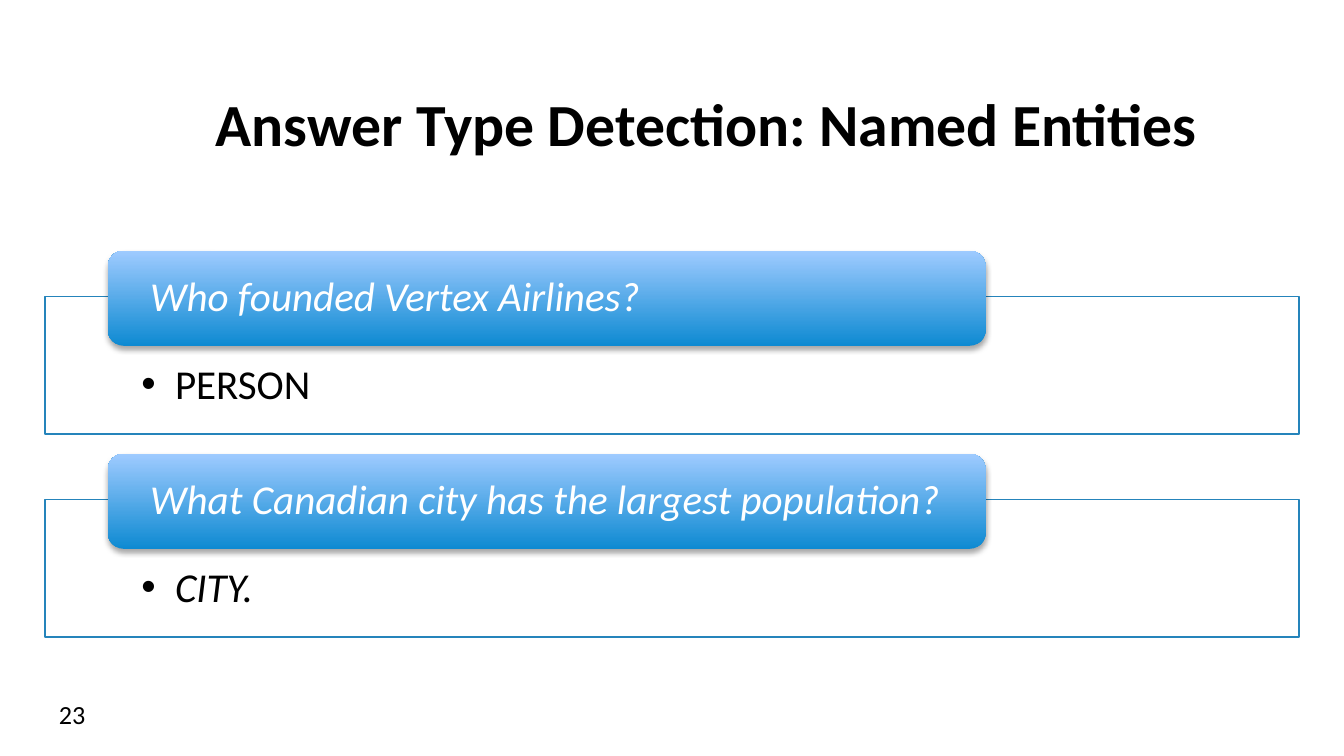
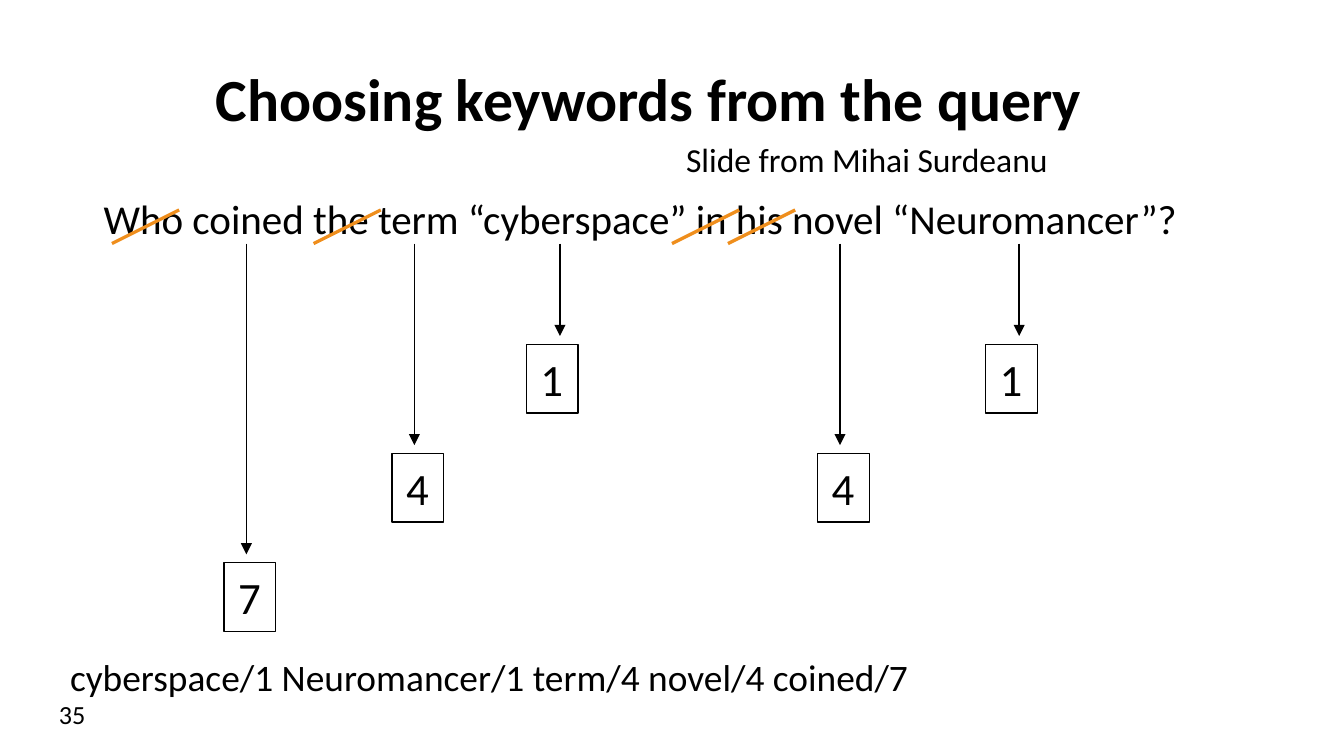
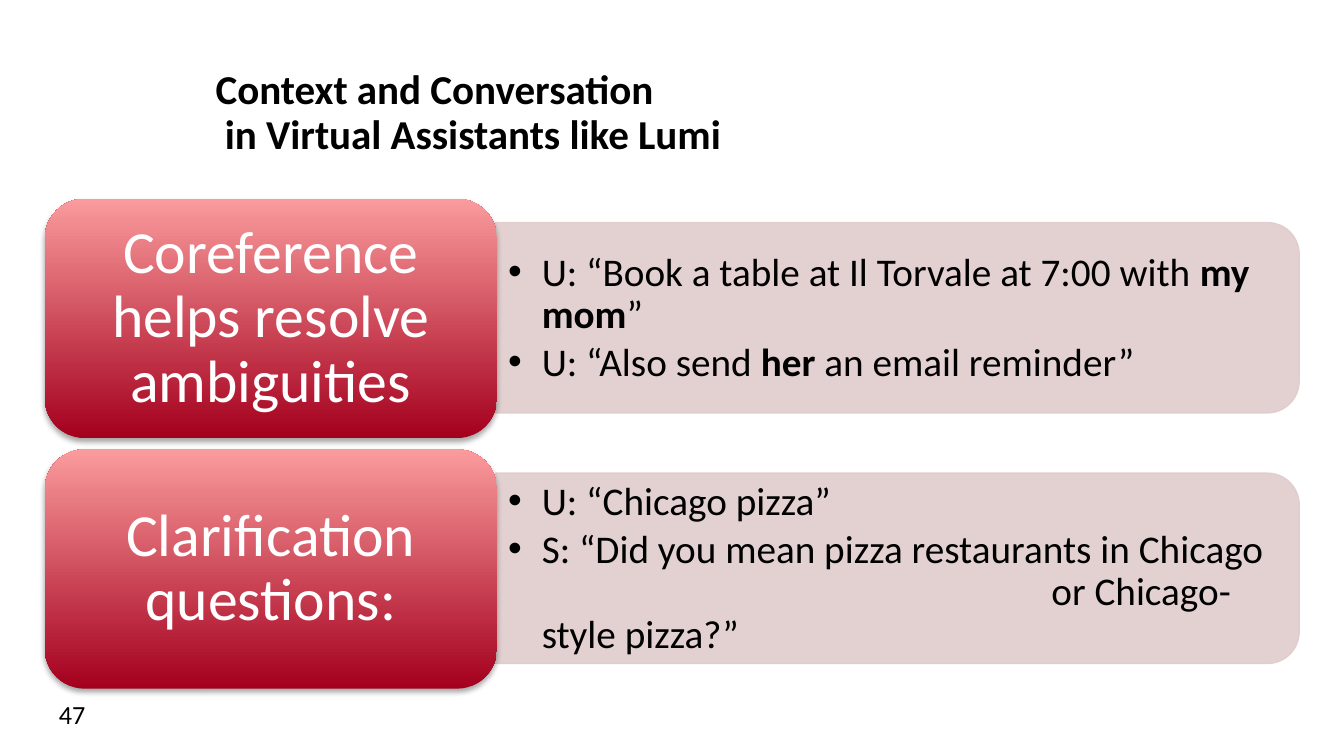
from lxml import etree
from pptx import Presentation
from pptx import util as u
from pptx.dml.color import RGBColor
from pptx.enum import shapes, text
from pptx.oxml.ns import qn

PX = 9525  # EMU per px, 96 px to the inch
FONT = "Calibri"
COLOURS = {
    "ink": "000000", "paper": "FFFFFF", "outline": "2584BB", "strike": "EF8E1C",
    "blue": "0E8AD2", "sky": "9FCBFF", "red": "A4001D", "rose": "FA9B9D", "band": "E0CCCD",
}
RGB = {name: RGBColor.from_string(value) for name, value in COLOURS.items()}
LEFT, CENTER = text.PP_ALIGN.LEFT, text.PP_ALIGN.CENTER
TOP, MIDDLE, BOTTOM = text.MSO_ANCHOR.TOP, text.MSO_ANCHOR.MIDDLE, text.MSO_ANCHOR.BOTTOM
TWO_LISTS, TITLE_ONLY = 3, 5


def write(frame, paragraphs, size, colour="ink", bold=False, italic=False, align=LEFT,
          anchor=TOP, spacing=1.0, insets=(10, 5, 10, 5), wrap=True, bullets=False):
    """Fill a text frame; words between asterisks are bold."""
    frame.auto_size = text.MSO_AUTO_SIZE.NONE
    frame.word_wrap = wrap
    frame.vertical_anchor = anchor
    frame.margin_left, frame.margin_top, frame.margin_right, frame.margin_bottom = (
        side * PX for side in insets)
    for number, words in enumerate(paragraphs):
        paragraph = frame.add_paragraph() if number else frame.paragraphs[0]
        plain, *others = words.split("*")
        paragraph.text = plain
        for index, part in enumerate(others):
            run = paragraph.add_run()
            run.text = part
            if index % 2 == 0:
                run.font.bold = True
        paragraph.alignment = align
        paragraph.line_spacing = spacing
        paragraph.space_before = u.Pt(0)
        if bullets:
            paragraph.space_after = u.Pt(3)
            props = paragraph._p.get_or_add_pPr()
            props.set("marL", str(24 * PX))
            props.set("indent", str(-24 * PX))
            etree.SubElement(props, qn("a:buChar"), char="•")
            if "\t" in words:
                tabs = etree.SubElement(props, qn("a:tabLst"))
                etree.SubElement(tabs, qn("a:tab"), pos=str(388 * PX), algn="l")
        font = paragraph.font
        font.name, font.size, font.bold, font.italic = FONT, u.Pt(size), bold, italic
        font.color.rgb = RGB[colour]


def add_card(slide, box, low, high):
    """Rounded card with a vertical gradient and a soft shadow."""
    card = slide.shapes.add_shape(shapes.MSO_SHAPE.ROUNDED_RECTANGLE, *(n * PX for n in box))
    card.fill.gradient()
    card.fill.gradient_angle = 90
    for stop, colour in zip(card.fill.gradient_stops, (low, high)):
        stop.color.rgb = RGB[colour]
    card.line.fill.background()
    card.shadow.inherit = False
    effects = card._element.spPr.find(qn("a:effectLst"))
    shadow = etree.SubElement(effects, qn("a:outerShdw"), blurRad="39370", dist="22860",
                              dir="5400000", rotWithShape="0")
    black = etree.SubElement(shadow, qn("a:srgbClr"), val=COLOURS["ink"])
    etree.SubElement(black, qn("a:alpha"), val="35000")
    return card


prs = Presentation()
prs.slide_width, prs.slide_height = 960 * PX, 540 * PX

# Titles and slide numbers
slides = []
for layout, heading, size, top, spacing, page in (
    (TWO_LISTS, "Answer Type Detection: Named Entities", 32, 40, 1.0, "23"),
    (TITLE_ONLY, "Choosing keywords from the query", 32, 22, 1.0, "35"),
    (TWO_LISTS, "Context and Conversation\n in Virtual Assistants like Lumi", 22, 40, 0.9, "47"),
):
    slide = prs.slides.add_slide(prs.slide_layouts[layout])
    title = slide.shapes.title
    title.left, title.top, title.width, title.height = 144 * PX, top * PX, 784 * PX, 78 * PX
    write(title.text_frame, [heading], size, bold=True, anchor=BOTTOM, spacing=spacing)
    number = slide.shapes.add_textbox(32 * PX, 494 * PX, 208 * PX, 36 * PX)
    write(number.text_frame, [page], 14)
    slides.append(slide)
entities, keywords, conversation = slides

# Slide 1: questions and their answer types
for row, (question, answer, italic) in enumerate((
    ("Who founded Vertex Airlines?", "PERSON", False),
    ("What Canadian city has the largest population?", "CITY.", True),
)):
    shift = row * 145
    answer_box = entities.placeholders[row + 1]
    answer_box.left, answer_box.top = 32 * PX, (212 + shift) * PX
    answer_box.width, answer_box.height = 896 * PX, 98 * PX
    answer_box.fill.solid()
    answer_box.fill.fore_color.rgb = RGB["paper"]
    answer_box.line.color.rgb = RGB["outline"]
    answer_box.line.width = u.Pt(0.75)
    write(answer_box.text_frame, [answer], 22, italic=italic, spacing=0.9,
          insets=(69, 48, 69, 16), bullets=True)
    question_card = add_card(entities, (77, 179 + shift, 627, 68), "blue", "sky")
    write(question_card.text_frame, [question], 22, "paper", italic=True, anchor=MIDDLE,
          spacing=0.9, insets=(27, 3, 27, 3))

# Slide 2: query, ranking and credit
for box, words, size, wrap in (
    ((64, 133, 792, 45), "Who coined the term “cyberspace” in his novel “Neuromancer”?", 22, True),
    ((40, 462, 660, 42), "cyberspace/1 Neuromancer/1 term/4 novel/4 coined/7", 20, False),
    ((480, 94, 281, 38), "Slide from Mihai Surdeanu", 18, False),
):
    label = keywords.shapes.add_textbox(*(n * PX for n in box))
    write(label.text_frame, [words], size, wrap=wrap)

# Strokes through dropped words, arrows from kept words: x1, y1, x2, y2, colour, width
word_base = 174
lines = [(x, word_base, x + 48, 150, "strike", 1.75) for x in (80, 224, 480, 520)]
for rank, level, word_x, rank_x in (
    ("1", 0, 400, 376), ("1", 0, 728, 704), ("4", 1, 296, 280), ("4", 1, 600, 584),
    ("7", 2, 176, 160),
):
    rank_top = 246 + level * 78
    lines.append((word_x, word_base, word_x, rank_top - 6, "ink", 0.75))
    rank_box = keywords.shapes.add_shape(
        shapes.MSO_SHAPE.RECTANGLE, rank_x * PX, rank_top * PX, 37 * PX, 49 * PX)
    rank_box.fill.background()
    rank_box.line.color.rgb = RGB["ink"]
    rank_box.line.width = u.Pt(0.75)
    rank_box.shadow.inherit = False
    write(rank_box.text_frame, [rank], 24, wrap=False)

for x1, y1, x2, y2, colour, width in lines:
    line = keywords.shapes.add_connector(
        shapes.MSO_CONNECTOR.STRAIGHT, x1 * PX, y1 * PX, x2 * PX, y2 * PX)
    line.line.color.rgb = RGB[colour]
    line.line.width = u.Pt(width)
    if colour == "ink":
        etree.SubElement(line.line._get_or_add_ln(), qn("a:tailEnd"), type="triangle")
    etree.SubElement(line._element.spPr, qn("a:effectLst"))

# Slide 3: topics with sample dialogue
band_length, band_depth = 574, 136
turn = (band_length - band_depth) // 2  # offset of the frame before the quarter turn
for row, (topic, dialogue) in enumerate((
    ("Coreference helps resolve ambiguities",
     ["U: “Book a table at Il Torvale at 7:00 with *my mom*”",
      "U: “Also send *her* an email reminder”"]),
    ("Clarification questions:",
     ["U: “Chicago pizza”",
      "S: “Did you mean pizza restaurants in Chicago\n\tor Chicago-style pizza?”"]),
)):
    shift = row * 179
    band = conversation.shapes.add_shape(
        shapes.MSO_SHAPE.ROUND_2_SAME_RECTANGLE, (354 + turn) * PX, (159 + shift - turn) * PX,
        band_depth * PX, band_length * PX)
    band.rotation = 90
    band.fill.solid()
    band.fill.fore_color.rgb = band.line.color.rgb = RGB["band"]
    band.line.width = u.Pt(0.75)
    band.shadow.inherit = False
    for tint in band._element.spPr.iter(qn("a:srgbClr")):
        etree.SubElement(tint, qn("a:alpha"), val="90000")
    conversation.shapes._spTree.insert(2, band._element)  # behind the dialogue

    lines_box = conversation.placeholders[row + 1]
    lines_box.left, lines_box.top = 354 * PX, (166 + shift) * PX
    lines_box.width, lines_box.height = 566 * PX, 123 * PX
    write(lines_box.text_frame, dialogue, 21, anchor=MIDDLE, spacing=0.9,
          insets=(9, 4, 9, 4), bullets=True)
    topic_card = add_card(conversation, (32, 142 + shift, 323, 171), "red", "rose")
    write(topic_card.text_frame, [topic], 32, "paper", align=CENTER, anchor=MIDDLE,
          spacing=0.9, insets=(21, 15, 21, 15))

prs.save("out.pptx")
